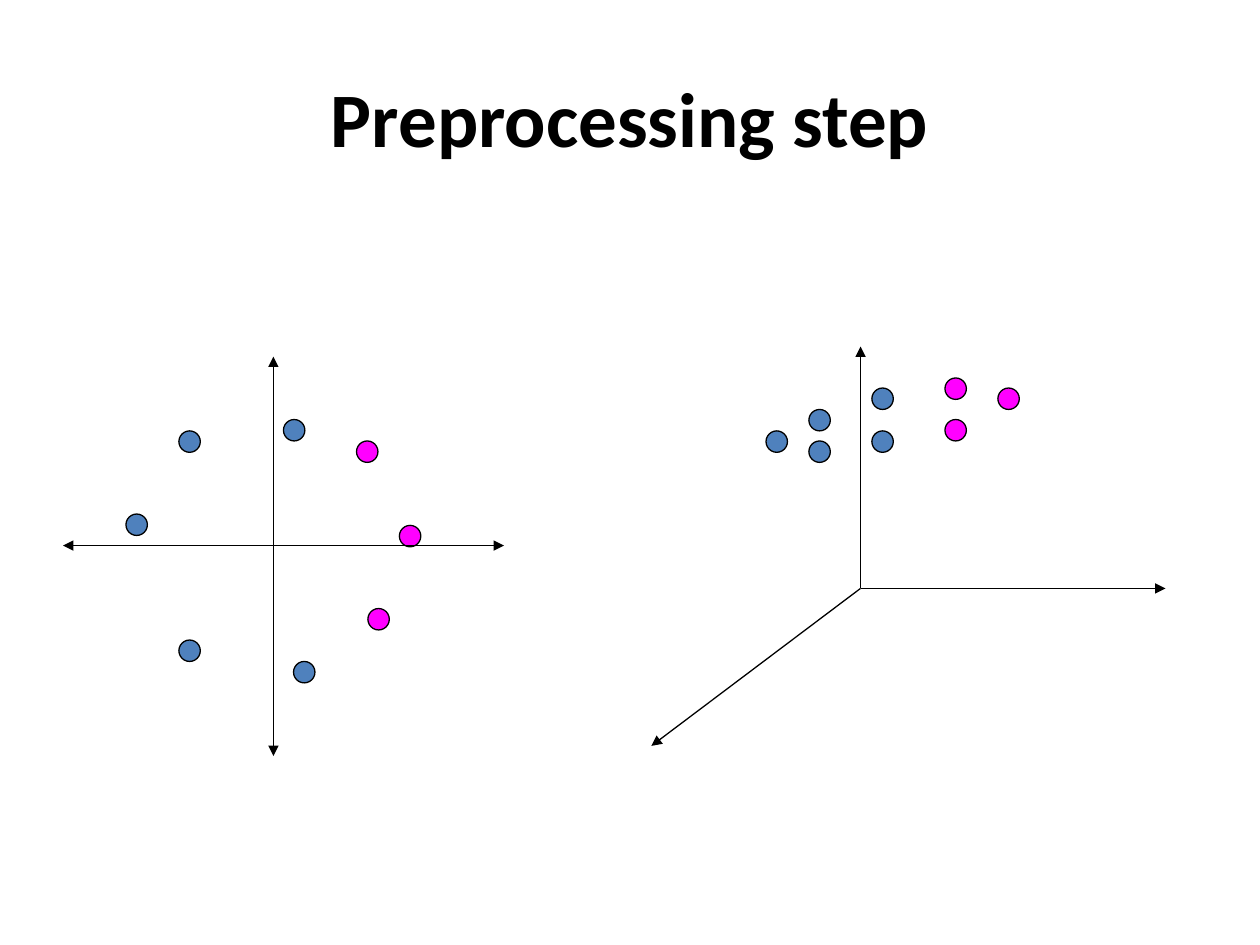
from lxml.etree import SubElement
from pptx import Presentation
from pptx.dml.color import RGBColor
from pptx.enum.shapes import MSO_CONNECTOR as Connector, MSO_SHAPE as Shape
from pptx.enum.text import MSO_ANCHOR as Anchor, PP_ALIGN as Align
from pptx.oxml.ns import qn
from pptx.util import Inches, Pt

BLACK = RGBColor(0x00, 0x00, 0x00)
BLUE = RGBColor(0x4F, 0x81, 0xBD)
MAGENTA = RGBColor(0xFF, 0x00, 0xFF)

DOT_SIZE = 0.17
LINE_WIDTH = Pt(0.75)

PLANE_DOTS = {
    BLUE: [(1, 4.08), (1.42, 3.42), (2.25, 3.33), (2.33, 5.25), (1.42, 5.08)],
    MAGENTA: [(2.83, 3.5), (3.17, 4.17), (2.92, 4.83)],
}
SPACE_DOTS = {
    BLUE: [(6.08, 3.42), (6.42, 3.5), (6.42, 3.25), (6.92, 3.08), (6.92, 3.42)],
    MAGENTA: [(7.5, 3.33), (7.92, 3.08), (7.5, 3)],
}
PLANE_AXES = [((0.5, 4.33), (4, 4.33)), ((2.17, 2.83), (2.17, 6))]
SPACE_ORIGIN = (6.83, 4.67)
SPACE_AXIS_TIPS = [(9.25, 4.67), (6.83, 2.75), (5.17, 5.92)]


def add_title(slide, wording):
    title = slide.shapes.add_textbox(Inches(0.5), Inches(0.3), Inches(9), Inches(1.25))
    frame = title.text_frame
    frame.word_wrap = True
    frame.vertical_anchor = Anchor.MIDDLE
    heading = frame.paragraphs[0]
    heading.text = wording
    heading.alignment = Align.CENTER
    heading.font.name = "Calibri"
    heading.font.size = Pt(44)
    heading.font.bold = True
    heading.font.color.rgb = BLACK


def add_dots(slide, dots_by_color):
    for color, positions in dots_by_color.items():
        for left, top in positions:
            dot = slide.shapes.add_shape(
                Shape.OVAL, Inches(left), Inches(top), Inches(DOT_SIZE), Inches(DOT_SIZE)
            )
            dot.shadow.inherit = False
            dot.fill.solid()
            dot.fill.fore_color.rgb = color
            dot.line.color.rgb = BLACK
            dot.line.width = LINE_WIDTH


def add_axis(slide, start, end, arrow_ends):
    axis = slide.shapes.add_connector(
        Connector.STRAIGHT, *(Inches(length) for length in (*start, *end))
    )
    axis.line.color.rgb = BLACK
    axis.line.width = LINE_WIDTH
    properties = axis._element.spPr
    outline = properties.find(qn("a:ln"))
    for arrow_end in arrow_ends:
        SubElement(outline, qn(arrow_end), type="triangle")
    SubElement(properties, qn("a:effectLst"))


def main():
    prs = Presentation()
    prs.slide_width, prs.slide_height = Inches(10), Inches(7.5)
    slide = prs.slides.add_slide(prs.slide_layouts[6])

    add_title(slide, "Preprocessing step")
    add_dots(slide, PLANE_DOTS)
    for start, end in PLANE_AXES:
        add_axis(slide, start, end, ("a:headEnd", "a:tailEnd"))
    for tip in SPACE_AXIS_TIPS:
        add_axis(slide, SPACE_ORIGIN, tip, ("a:tailEnd",))
    add_dots(slide, SPACE_DOTS)

    prs.save("out.pptx")


if __name__ == "__main__":
    main()
